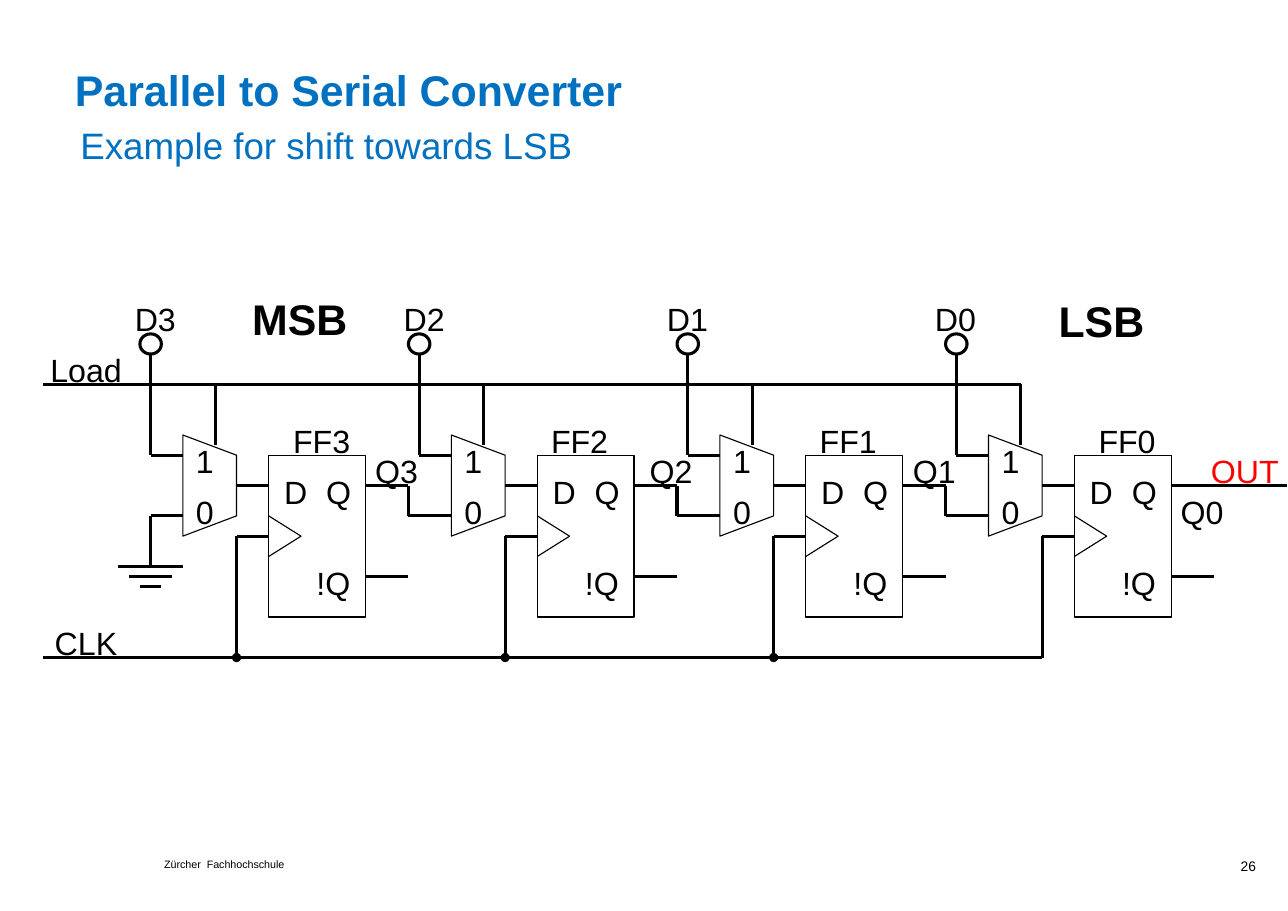
"""Build the slide showing a four-bit parallel to serial converter."""
from lxml import etree
from pptx import Presentation
from pptx.dml.color import RGBColor
from pptx.enum.shapes import MSO_CONNECTOR, MSO_SHAPE
from pptx.enum.text import MSO_ANCHOR, PP_ALIGN
from pptx.oxml.ns import qn
from pptx.util import Pt

STRAIGHT = MSO_CONNECTOR.STRAIGHT
RECT, OVAL = MSO_SHAPE.RECTANGLE, MSO_SHAPE.OVAL
TOP, MIDDLE = MSO_ANCHOR.TOP, MSO_ANCHOR.MIDDLE
LEFT, CENTER, RIGHT = PP_ALIGN.LEFT, PP_ALIGN.CENTER, PP_ALIGN.RIGHT
BLACK, BLUE, RED = "000000", "0070C0", "FF0000"
X0, Y0 = 119.5, 251.3
DX, DY = 7.02, 6.61
PITCH = 25

prs = Presentation()
prs.slide_width, prs.slide_height = Pt(841.68), Pt(595.44)
s = prs.slides.add_slide(prs.slide_layouts[5])


def label(text, x, y, w, h=33, size=21, color=BLACK, bold=False,
          align=CENTER, spacing=1.0, inset=(8, 4.3), box=None, anchor=TOP):
    sp = box or s.shapes.add_textbox(0, 0, 0, 0)
    sp.left, sp.top, sp.width, sp.height = Pt(x), Pt(y), Pt(w), Pt(h)
    tf = sp.text_frame
    tf.word_wrap = True
    tf.vertical_anchor = anchor
    tf.margin_left = tf.margin_right = Pt(inset[0])
    tf.margin_top = tf.margin_bottom = Pt(inset[1])
    p = tf.paragraphs[0]
    p.text = text
    p.alignment, p.line_spacing = align, spacing
    font = p.runs[0].font
    font.name, font.size, font.bold = "Arial", Pt(size), bold
    font.color.rgb = RGBColor.from_string(color)


def wire(x1, y1, x2, y2, dot=False):
    c = s.shapes.add_connector(STRAIGHT, Pt(X0 + x1 * DX), Pt(Y0 + y1 * DY),
                               Pt(X0 + x2 * DX), Pt(Y0 + y2 * DY))
    c.line.width = Pt(2)
    c.line.color.rgb = RGBColor.from_string(BLACK)
    if dot:
        etree.SubElement(c.line._get_or_add_ln(), qn("a:tailEnd"), type="oval")
    etree.SubElement(c._element.spPr, qn("a:effectLst"))


label("Parallel to Serial Converter", 49, 33.8, 438.5, 44, 28, BLUE, True,
      LEFT, 1.14, (0, 0), s.shapes.title, MIDDLE)
label("Example for shift towards LSB", 45.4, 67, 345, 37, 24, BLUE,
      align=LEFT, spacing=1.33, inset=(7.2, 3.6))
label("Zürcher  Fachhochschule", 107.3, 560.9, 95, 8, 7, align=LEFT, inset=(0, 0))
label("26", 725, 560.9, 95.8, 15, 9, align=RIGHT, inset=(0, 0))

stages = [
    (3, 69.8, 63.4, 161.3, 210.2, 97.9, 290.9),
    (2, 245.5, 63.4, 329.8, 414, 49, 290.9),
    (1, 400.3, 97.9, 505.4, 582.5, 56.2, 290.9),
    (0, 596.2, 56.2, 687.6, 757.4, 56.2, 317.5),
]
for i, (bit, d_x, d_w, ff_x, q_x, q_w, q_y) in enumerate(stages):
    col = i * PITCH
    x = X0 + col * DX
    flipflop = s.shapes.add_shape(RECT, Pt(x + 8 * DX), Pt(Y0 + 7 * DY),
                                  Pt(9 * DX), Pt(16 * DY))
    terminal = s.shapes.add_shape(OVAL, Pt(x - 4 * DX), Pt(Y0 - 5 * DY),
                                  Pt(2 * DX), Pt(2 * DY))
    outlines = [(flipflop, 0.75), (terminal, 2)]
    mux = [(0, 5), (5, 7), (5, 13), (0, 15)]
    clock_input = [(8, 13), (11, 15), (8, 17)]
    for points, close in ((mux, True), (clock_input, False)):
        corners = [(Pt(x + a * DX), Pt(Y0 + b * DY)) for a, b in points]
        fb = s.shapes.build_freeform(*corners[0])
        fb.add_line_segments(corners[1:], close=close)
        outlines.append((fb.convert_to_shape(), 0.75))
    for sp, width in outlines:
        sp.shadow.inherit = False
        sp.fill.background()
        sp.line.width = Pt(width)
        sp.line.color.rgb = RGBColor.from_string(BLACK)

    for x1, y1, x2, y2 in [(-3, -3, -3, 7), (-3, 7, 0, 7), (3, 0, 3, 6),
                           (5, 10, 8, 10), (5, 15, 8, 15), (17, 19, 21, 19)]:
        wire(col + x1, y1, col + x2, y2)
    wire(col + 5, 15, col + 5, 27, dot=bit > 0)
    if bit:
        for x1, y1, x2, y2 in [(17, 10, 21, 10), (21, 10, 21, 13), (21, 13, 25, 13)]:
            wire(col + x1, y1, col + x2, y2)

    for text, a, b, w in [("1", 0, 5, 28.8), ("0", 0, 10, 28.8), ("D", 8, 8, 35.1),
                          ("Q", 12, 8, 35.1), ("!Q", 10, 17, 56.2)]:
        label(text, x + a * DX, Y0 + b * DY, w)
    label(f"D{bit}", d_x, 191.5, d_w)
    label(f"FF{bit}", ff_x, 271.4, 97.9)
    label(f"Q{bit}", q_x, q_y, q_w)

wire(-13, 0, 78, 0)
wire(-13, 27, 80, 27)
wire(92, 10, 102.8, 10)
wire(-3, 13, 0, 13)
wire(-3, 13, -3, 18)
for step in range(3):
    wire(step - 6, 18 + step, -step, 18 + step)

label("Load", 20.9, 224.6, 70.6)
label("CLK", 20.9, 403.2, 70.6)
label("OUT", 764.6, 290.9, 97.9, color=RED)
for text, x, y in (("MSB", 157.7, 182.9), ("LSB", 684.7, 184.3)):
    label(text, x, y, 82, 40, 28, bold=True, align=LEFT, spacing=1.14, inset=(7.2, 3.6))

prs.save("out.pptx")
